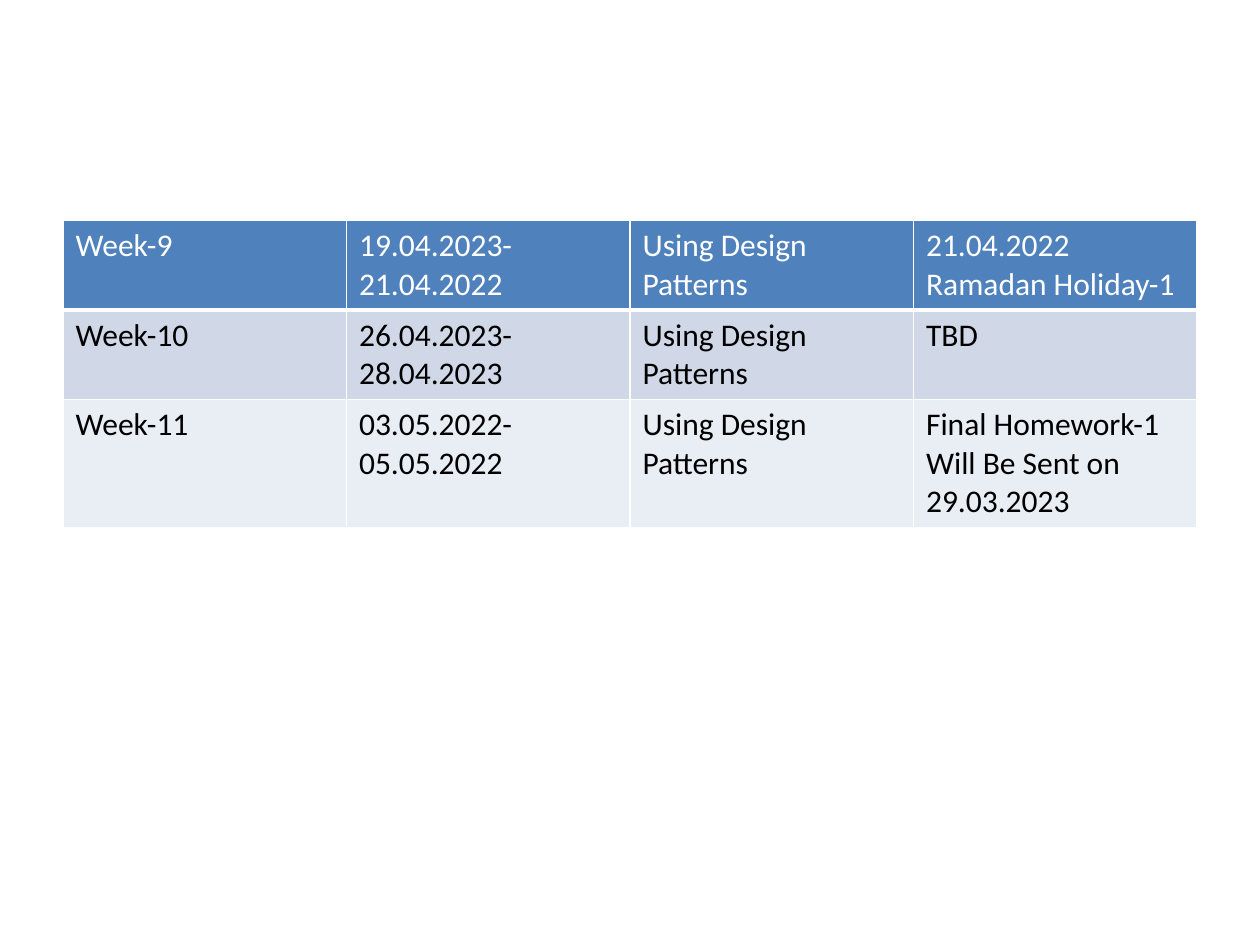
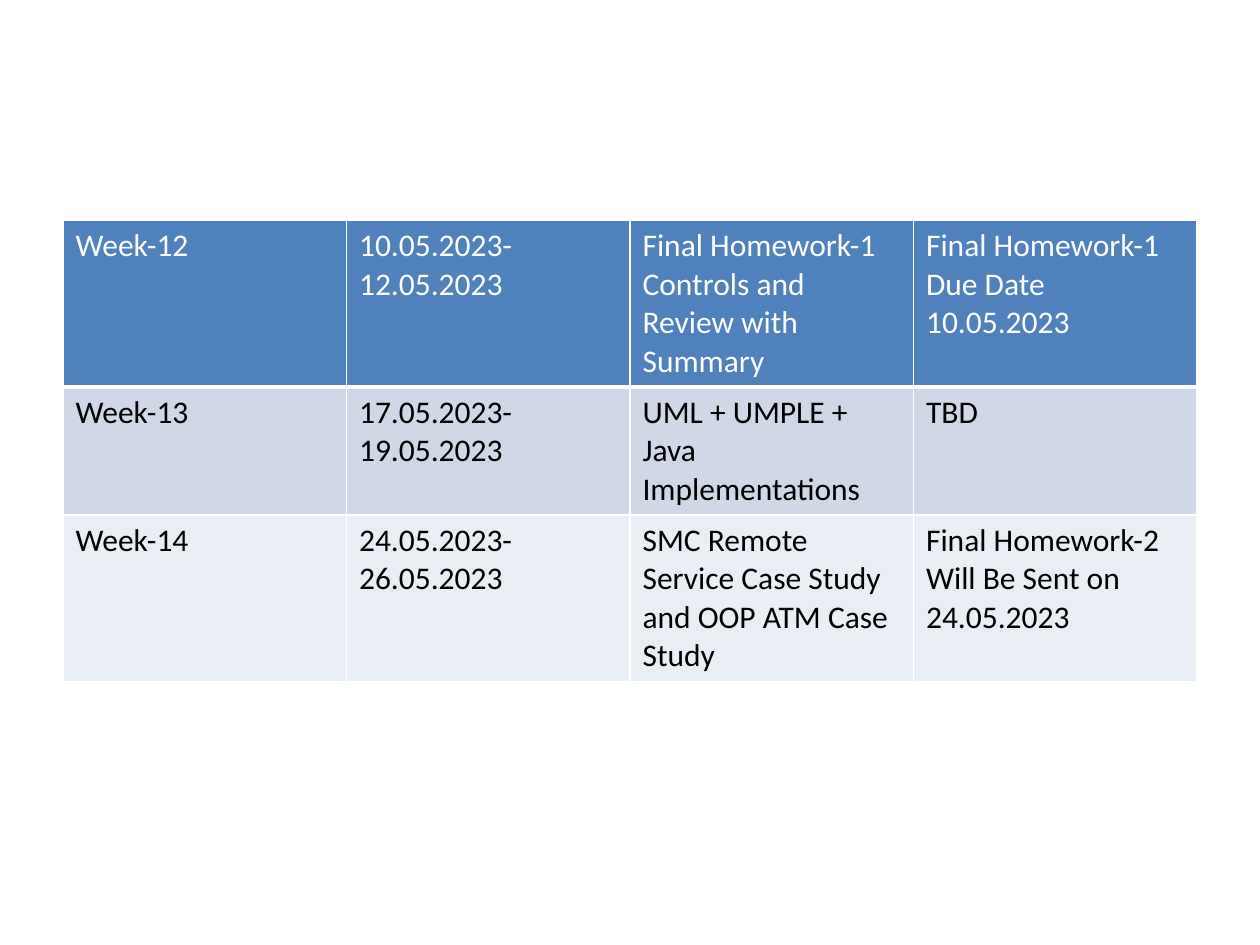
from dataclasses import dataclass

from lxml import etree
from pptx import Presentation
from pptx.dml.color import RGBColor
from pptx.oxml.ns import qn
from pptx.util import Inches, Pt

COLORS = {
    "header": "4F81BD",
    "odd_row": "D0D8E8",
    "even_row": "E9EDF4",
    "border": "FFFFFF",
    "header_text": "FFFFFF",
    "body_text": "000000",
}
FONT = "Calibri"
FONT_SIZE = Pt(18)
COLUMN_WIDTH = Inches(2.25)
BLANK_LAYOUT = 6


@dataclass(frozen=True)
class Week:
    number: int
    dates: str
    topic: str
    note: str

    def texts(self) -> tuple[str, ...]:
        return f"Week-{self.number}", self.dates, self.topic, self.note


@dataclass(frozen=True)
class RowStyle:
    fill: str
    text: str
    top_border: float
    bottom_border: float


ROW_STYLES = (
    RowStyle("header", "header_text", 1, 3),
    RowStyle("odd_row", "body_text", 3, 1),
    RowStyle("even_row", "body_text", 1, 1),
)

SCHEDULE = (
    (
        Week(9, "19.04.2023-21.04.2022", "Using Design Patterns",
             "21.04.2022 Ramadan Holiday-1"),
        Week(10, "26.04.2023-28.04.2023", "Using Design Patterns", "TBD"),
        Week(11, "03.05.2022-05.05.2022", "Using Design Patterns",
             "Final Homework-1 Will Be Sent on 29.03.2023"),
    ),
    (
        Week(12, "10.05.2023-12.05.2023",
             "Final Homework-1 Controls and Review with Summary",
             "Final Homework-1 Due Date 10.05.2023"),
        Week(13, "17.05.2023-19.05.2023",
             "UML + UMPLE + Java Implementations", "TBD"),
        Week(14, "24.05.2023-26.05.2023",
             "SMC Remote Service Case Study and\u00a0OOP ATM Case Study",
             "Final Homework-2 Will Be Sent on 24.05.2023"),
    ),
)


def color(name: str) -> RGBColor:
    return RGBColor.from_string(COLORS[name])


def add_borders(cell, style: RowStyle) -> None:
    properties = cell._tc.get_or_add_tcPr()
    widths = {"lnL": 1, "lnR": 1, "lnT": style.top_border, "lnB": style.bottom_border}
    for position, (side, width) in enumerate(widths.items()):
        line = etree.Element(qn(f"a:{side}"), w=str(Pt(width)))
        fill = etree.SubElement(line, qn("a:solidFill"))
        etree.SubElement(fill, qn("a:srgbClr"), val=COLORS["border"])
        properties.insert(position, line)


def fill_cell(cell, text: str, style: RowStyle) -> None:
    cell.fill.solid()
    cell.fill.fore_color.rgb = color(style.fill)
    add_borders(cell, style)
    span = cell.text_frame.paragraphs[0].add_run()
    span.text = text
    span.font.name = FONT
    span.font.size = FONT_SIZE
    span.font.bold = False
    span.font.color.rgb = color(style.text)


def add_schedule(page, weeks: tuple[Week, ...]) -> None:
    column_count = len(weeks[0].texts())
    frame = page.shapes.add_table(
        len(weeks), column_count, Inches(0.5), Inches(1.75),
        COLUMN_WIDTH * column_count, Inches(4.94))
    table = frame.table
    for column in table.columns:
        column.width = COLUMN_WIDTH
    for row, week, style in zip(table.rows, weeks, ROW_STYLES):
        row.height = Inches(0)
        for cell, text in zip(row.cells, week.texts()):
            fill_cell(cell, text, style)
    frame.height = Inches(4.94)


deck = Presentation()
deck.slide_width = Inches(10)
deck.slide_height = Inches(7.5)
for weeks in SCHEDULE:
    page = deck.slides.add_slide(deck.slide_layouts[BLANK_LAYOUT])
    add_schedule(page, weeks)
deck.save("out.pptx")
